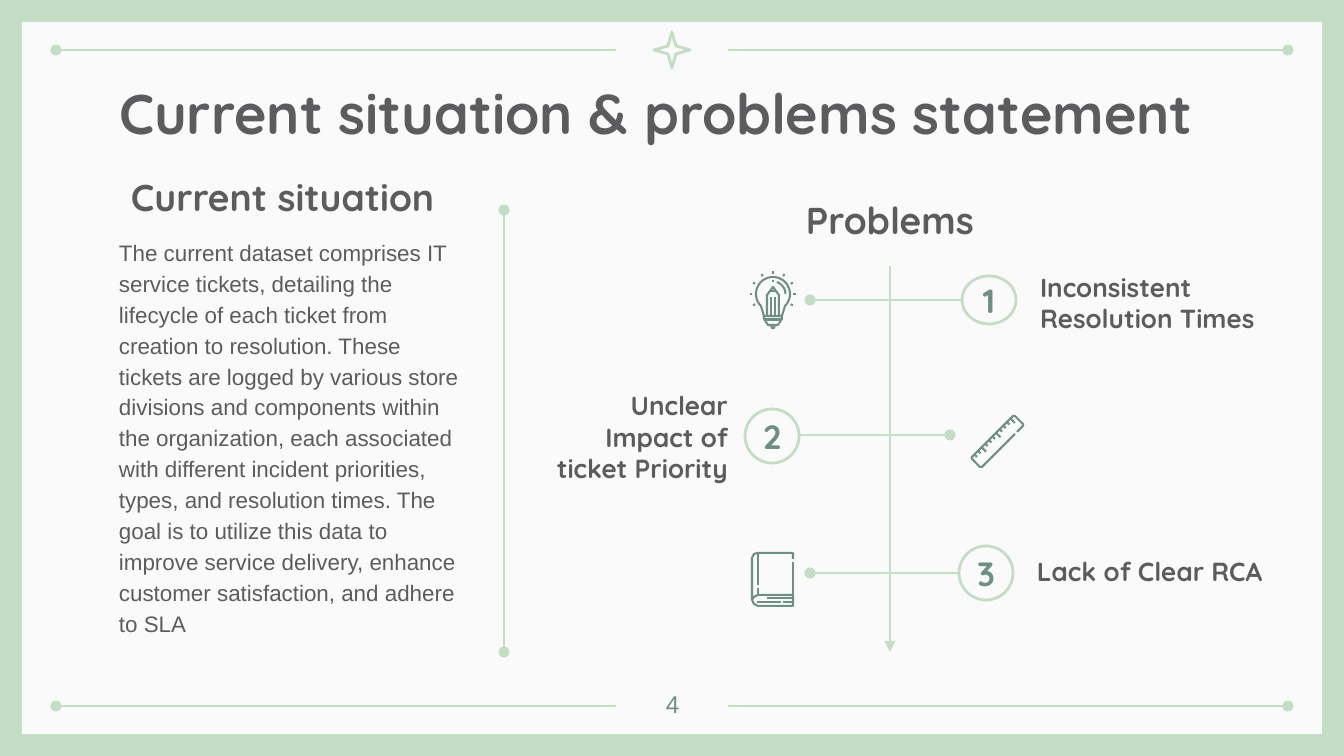
from dataclasses import dataclass
from math import cos, radians, sin

from lxml.etree import SubElement
from pptx import Presentation
from pptx.dml.color import RGBColor
from pptx.enum.shapes import MSO_CONNECTOR as Connector, MSO_SHAPE as Shape
from pptx.enum.text import MSO_ANCHOR as Anchor, MSO_AUTO_SIZE as AutoSize, PP_ALIGN as Align
from pptx.oxml.ns import qn
from pptx.util import Emu, Pt

SCALE = 914400 / 134.4
FINE = 10  # freeform units in one px


@dataclass(frozen=True)
class Theme:
    sage: RGBColor = RGBColor(0xC4, 0xDD, 0xC5)
    paper: RGBColor = RGBColor(0xFA, 0xFA, 0xFA)
    ink: RGBColor = RGBColor(0x5C, 0x5C, 0x5F)
    pine: RGBColor = RGBColor(0x6E, 0x8F, 0x81)
    display: str = "Quicksand"
    plain: str = "Arial"
    title: int = 30
    heading: int = 20
    badge: int = 18
    label: int = 14
    number: int = 13
    body: int = 12
    rule: float = 1.5
    icon: float = 1.1


THEME = Theme()

CURRENT = (
    "The current dataset comprises IT service tickets, detailing the lifecycle of each "
    "ticket from creation to resolution. These tickets are logged by various store "
    "divisions and components within the organization, each associated with different "
    "incident priorities, types, and resolution times. The goal is to utilize this data "
    "to improve service delivery, enhance customer satisfaction, and adhere to SLA"
)

# text, label box, label alignment, badge box, branch (y, from x, to x)
PROBLEMS = [
    ("Inconsistent Resolution Times", (1027, 196, 282, 151), Align.LEFT,
     (962, 276, 54, 48), (300, 962, 810)),
    ("Unclear Impact of ticket Priority", (526, 437, 215, 60), Align.RIGHT,
     (745, 409, 54, 54), (435, 800, 950)),
    ("Lack of Clear RCA", (1024, 531, 282, 69), Align.LEFT,
     (959, 546, 54, 54), (573, 959, 810)),
]


def px(length):
    return Emu(round(length * SCALE))


def assign(target, values):
    for name, value in values.items():
        setattr(target, name, value)


def write(shape, text, size, font=THEME.display, color=THEME.ink, bold=True,
          align=Align.LEFT, anchor=Anchor.TOP, side=13, spacing=None):
    frame = shape.text_frame
    assign(frame, {
        "word_wrap": True, "auto_size": AutoSize.NONE, "vertical_anchor": anchor,
        "margin_left": px(side), "margin_right": px(side),
        "margin_top": px(13), "margin_bottom": px(13),
    })
    para = frame.paragraphs[0]
    assign(para, {"alignment": align, "line_spacing": spacing})
    span = para.add_run()
    span.text = text
    assign(span.font, {"name": font, "size": Pt(size), "bold": bold})
    span.font.color.rgb = color


def add_text(page, box, text, size, **style):
    write(page.shapes.add_textbox(*map(px, box)), text, size, **style)


def paint(shape, fill=None, line=None, width=THEME.rule):
    shape.shadow.inherit = False
    for part, color in ((shape.fill, fill), (shape.line.fill, line)):
        if color is None:
            part.background()
        else:
            part.solid()
            part.fore_color.rgb = color
    if line is not None:
        shape.line.width = Pt(width)


def add_figure(page, kind, box, **colors):
    shape = page.shapes.add_shape(kind, *map(px, box))
    paint(shape, **colors)
    return shape


def add_rule(page, start, end, **ends):
    """Draw a sage line; ends maps head or tail to an arrowhead type."""
    rule = page.shapes.add_connector(Connector.STRAIGHT, *map(px, start + end))
    rule.line.color.rgb = THEME.sage
    rule.line.width = Pt(THEME.rule)
    outline = rule.line._get_or_add_ln()
    for place, kind in ends.items():
        SubElement(outline, qn(f"a:{place}End"), type=kind)
    SubElement(rule.element.spPr, qn("a:effectLst"))


def add_icon(page, strokes):
    """Join open polylines, given in px, into one outlined freeform."""
    fine = [[(x * FINE, y * FINE) for x, y in stroke] for stroke in strokes]
    builder = page.shapes.build_freeform(*fine[0][0], scale=SCALE / FINE)
    for number, (first, *rest) in enumerate(fine):
        if number:
            builder.move_to(*first)
        builder.add_line_segments(rest, close=False)
    paint(builder.convert_to_shape(), line=THEME.pine, width=THEME.icon)


def arc(x, y, radius, start, end, step=9):
    return [(x + radius * cos(radians(a)), y + radius * sin(radians(a)))
            for a in range(start, end + 1, step)]


def add_bulb(page):
    x, y = 773, 294
    glass = [(764, 316), *arc(x, y, 17, 135, 405), (782, 316)]
    base = [(764, 316), (782, 316), (782, 319), (778, 325), (768, 325), (764, 319), (764, 316)]
    pencil = [(767, 316), (767, 295), (773, 287), (779, 295), (779, 316)]
    leads = [[(lead, 297), (lead, 315)] for lead in (771, 775)]
    details = [[(764, 319.5), (782, 319.5)], [(771, 325), (772, 328), (774, 328), (775, 325)],
               [(771, 291), (775, 291)], [(772, 281), (774, 281)]]
    rays = [[arc(x, y, radius, angle, angle)[0] for radius in (20.5, 23)]
            for angle in range(150, 391, 30)]
    add_icon(page, [glass, base, pencil, *leads, *details, arc(x, y, 12.5, -72, 0), *rays])


def add_ruler(page):
    edge = [(1015, 434), (982, 467), (980, 467), (972, 459), (972, 457), (1013, 416),
            (1015, 416), (1023, 424), (1023, 426), (1017, 432)]
    ticks = []
    for number in range(11):
        x, y = 975 + 3.6 * number, 455 - 3.6 * number
        length = 4 if number % 4 == 2 else 2
        ticks.append([(x, y), (x + length, y + length)])
    add_icon(page, [edge, *ticks])


def add_book(page):
    cover = [(793, 559), (793, 553), (758, 553), (754, 554), (752, 558), (752, 600),
             (754, 604), (758, 606), (793, 606), (793, 595), (758, 595), (754, 597), (752, 600)]
    details = [[(793, 562), (793, 595)], [(758, 553), (758, 585)], [(758, 588), (758, 595)],
               [(767, 598.5), (793, 598.5)], [(757, 602), (781, 602)], [(783, 602), (793, 602)]]
    add_icon(page, [cover, *details])


def add_frame(page):
    add_figure(page, Shape.RECTANGLE, (22, 22, 1300, 712), fill=THEME.paper)
    for y in (50, 706):
        add_rule(page, (56, y), (616, y), head="oval")
        add_rule(page, (728, y), (1288, y), tail="oval")
    star = add_figure(page, Shape.STAR_4_POINT, (654, 32, 36, 36), line=THEME.sage)
    star.adjustments[0] = 0.157


def add_title(page, text):
    title = page.shapes.title
    title.element.getparent().append(title.element)  # in front of the frame
    box = map(px, (106, 66, 1133, 85))
    assign(title, dict(zip(("left", "top", "width", "height"), box)))
    write(title, text, THEME.title)


def add_problem(page, number, text, label, align, badge, branch):
    add_text(page, label, text, THEME.label, align=align, anchor=Anchor.BOTTOM)
    circle = add_figure(page, Shape.OVAL, badge, line=THEME.sage)
    write(circle, str(number), THEME.badge, color=THEME.pine,
          align=Align.CENTER, anchor=Anchor.MIDDLE, side=0)
    y, start, end = branch
    add_rule(page, (start, y), (end, y), tail="oval")


def main():
    deck = Presentation()
    assign(deck, {"slide_width": px(1344), "slide_height": px(756)})
    page = deck.slides.add_slide(deck.slide_layouts[5])
    page.background.fill.solid()
    page.background.fill.fore_color.rgb = THEME.sage

    add_frame(page)
    add_title(page, "Current situation & problems statement")
    add_text(page, (118, 161, 376, 71), "Current situation", THEME.heading, anchor=Anchor.BOTTOM)
    add_text(page, (106, 222, 376, 442), CURRENT, THEME.body,
             font=THEME.plain, bold=False, spacing=1.15)
    add_rule(page, (504, 210), (504, 652), head="oval", tail="oval")

    add_text(page, (778, 200, 224, 55), "Problems", THEME.heading,
             align=Align.CENTER, anchor=Anchor.BOTTOM)
    add_rule(page, (890, 266), (890, 652), tail="triangle")
    for number, problem in enumerate(PROBLEMS, 1):
        add_problem(page, number, *problem)
    for add_drawing in (add_bulb, add_ruler, add_book):
        add_drawing(page)
    add_text(page, (632, 676, 81, 48), "4", THEME.number, font=THEME.plain,
             color=THEME.pine, bold=False, align=Align.CENTER)
    deck.save("out.pptx")


if __name__ == "__main__":
    main()
